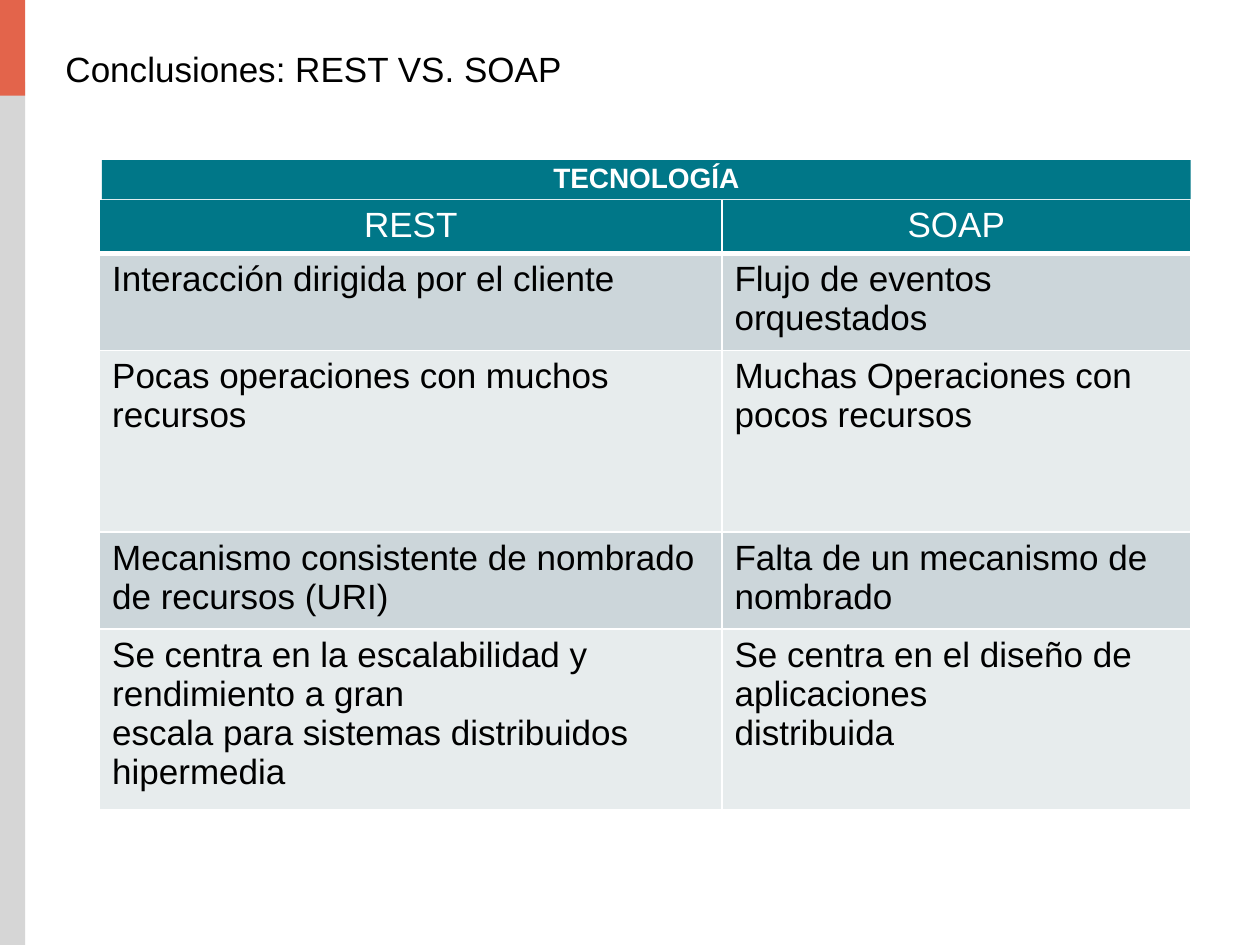
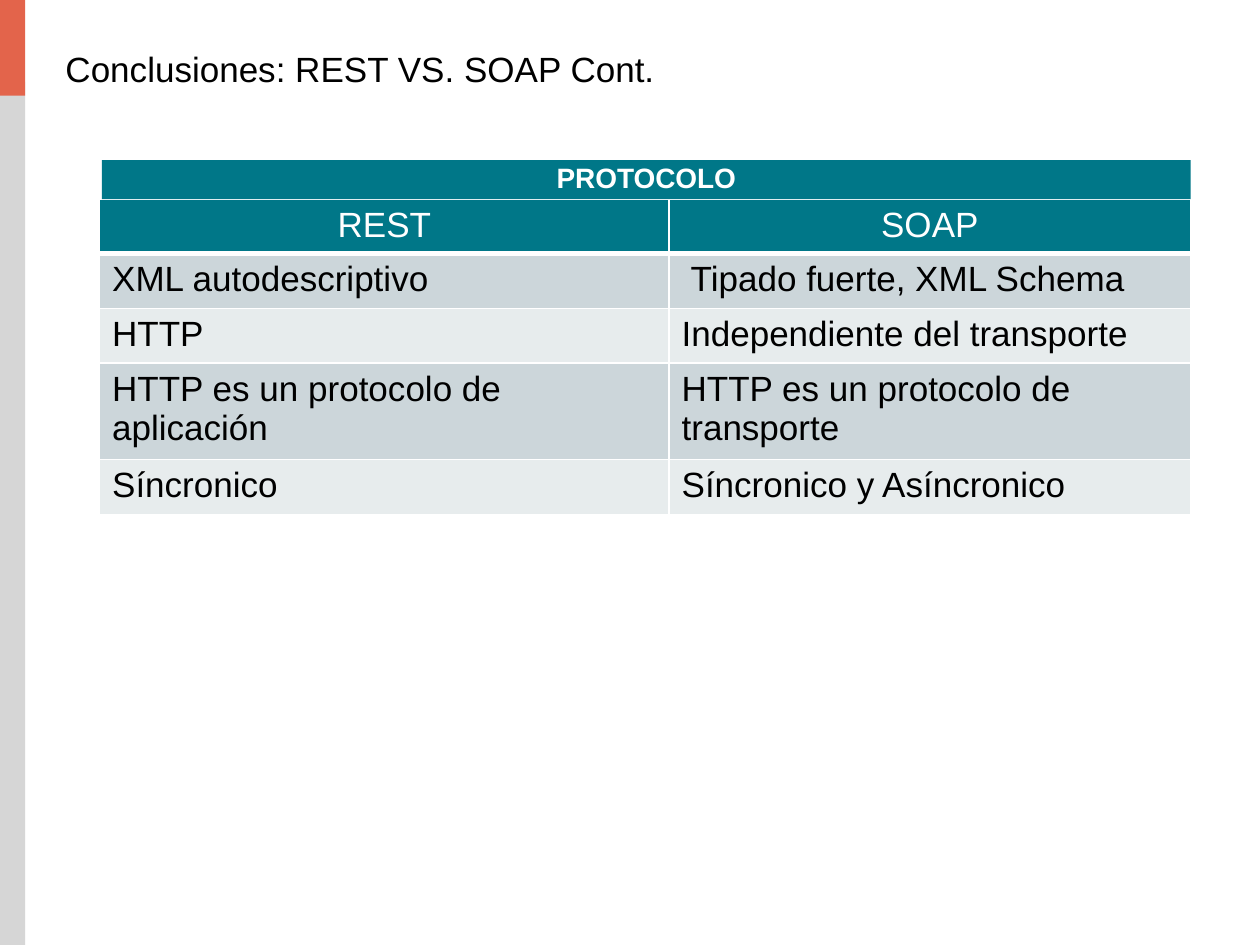
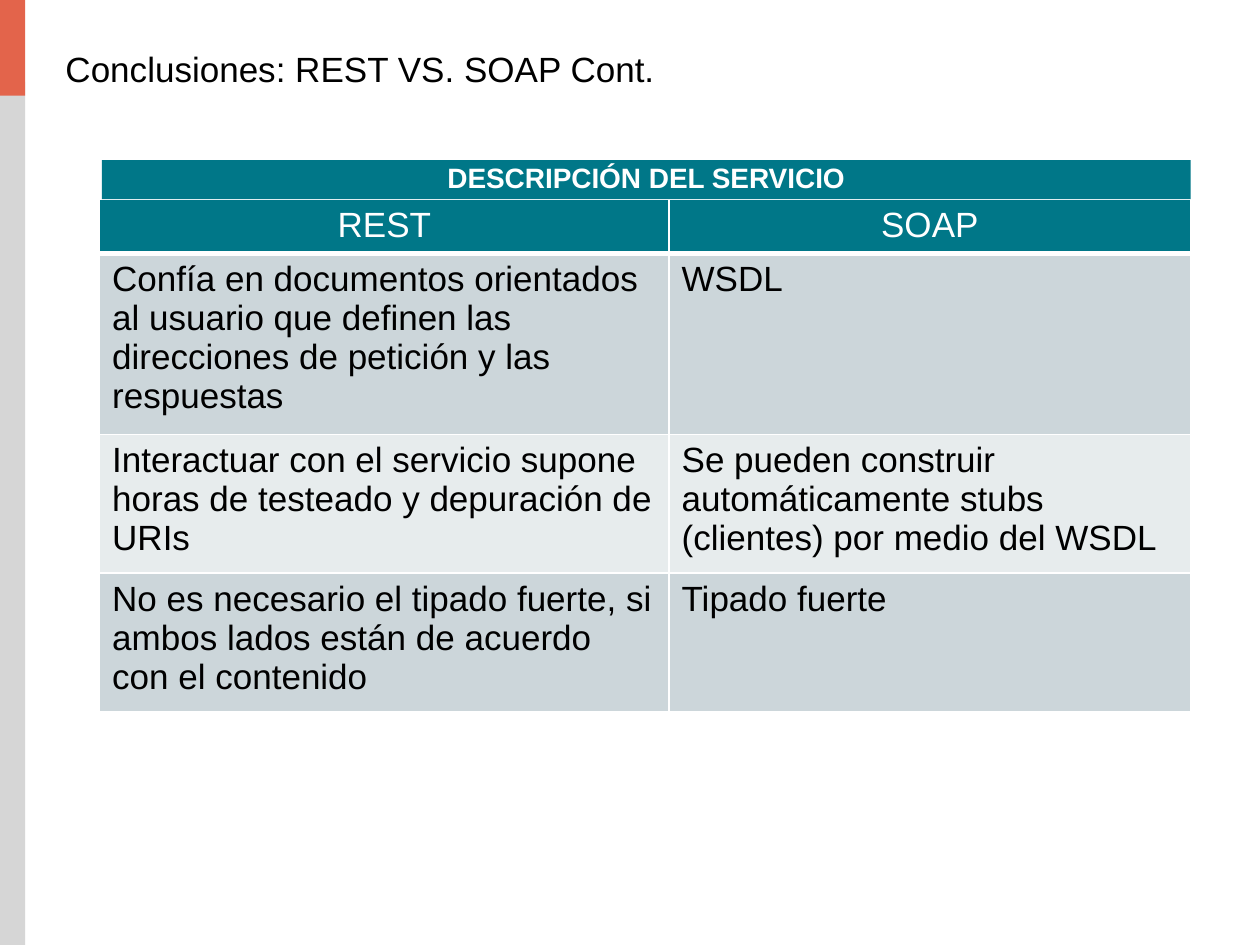
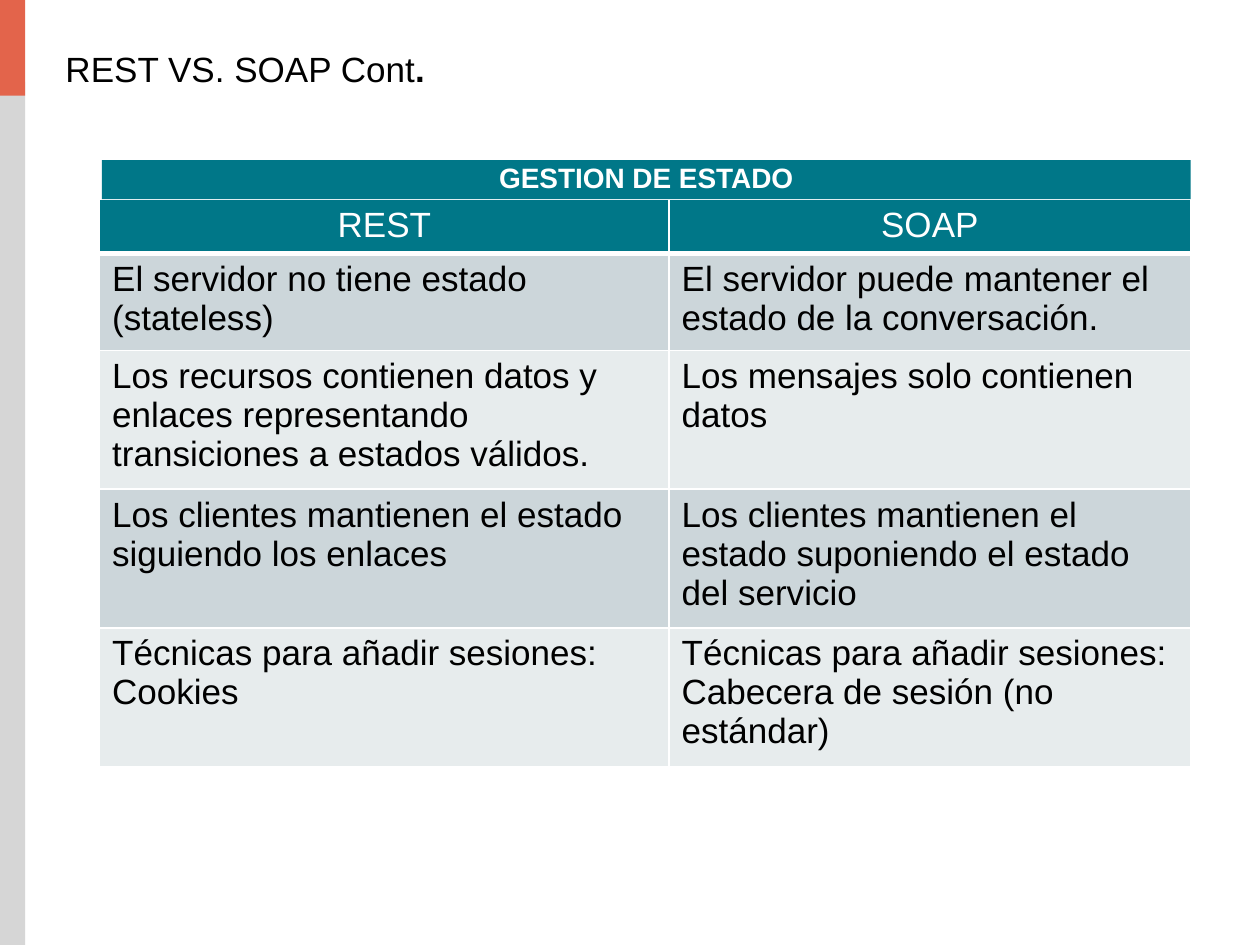
from dataclasses import dataclass

from lxml import etree
from pptx import Presentation
from pptx.dml.color import RGBColor
from pptx.enum.shapes import MSO_SHAPE
from pptx.enum.text import MSO_ANCHOR, PP_ALIGN
from pptx.oxml.ns import qn
from pptx.slide import Slide
from pptx.table import _Cell
from pptx.text.text import TextFrame, _Paragraph
from pptx.util import Inches, Pt

RECTANGLE = MSO_SHAPE.RECTANGLE
TOP, MIDDLE = MSO_ANCHOR.TOP, MSO_ANCHOR.MIDDLE
LEFT, CENTER = PP_ALIGN.LEFT, PP_ALIGN.CENTER

COLORS = {
    "teal": "007788",
    "orange": "E3644B",
    "gray": "D6D6D6",
    "row_dark": "CCD6DA",
    "row_light": "E7ECED",
    "black": "000000",
    "white": "FFFFFF",
}
FONT = "Arial"
TABLE_LEFT, TABLE_TOP, TABLE_WIDTH = 0.79, 1.58, 8.66
HEADINGS = ("REST", "SOAP")


@dataclass(frozen=True)
class Row:
    rest: str
    soap: str
    height: float


@dataclass(frozen=True)
class Comparison:
    title: str
    topic: str
    rows: tuple[Row, ...]
    rest_width: float = 4.52
    heading_height: float = 0.41
    bold_ending: str = ""


COMPARISONS = (
    Comparison(
        "Conclusiones: REST VS. SOAP",
        "TECNOLOGÍA",
        (
            Row("Interacción dirigida por el cliente", "Flujo de eventos orquestados", 0.77),
            Row("Pocas operaciones con muchos recursos",
                "Muchas Operaciones con pocos recursos", 1.44),
            Row("Mecanismo consistente de nombrado de recursos (URI)",
                "Falta de un mecanismo de nombrado", 0.77),
            Row("Se centra en la escalabilidad y rendimiento a gran\n"
                "escala para sistemas distribuidos hipermedia",
                "Se centra en el diseño de aplicaciones\ndistribuida", 1.43),
        ),
        rest_width=4.94,
        heading_height=0.42,
    ),
    Comparison(
        "Conclusiones: REST VS. SOAP Cont.",
        "PROTOCOLO",
        (
            Row("XML autodescriptivo", " Tipado fuerte, XML Schema", 0.41),
            Row("HTTP", "Independiente del transporte", 0.41),
            Row("HTTP es un protocolo de aplicación",
                "HTTP es un protocolo de transporte", 0.72),
            Row("Síncronico", "Síncronico y Asíncronico", 0.41),
        ),
    ),
    Comparison(
        "Conclusiones: REST VS. SOAP Cont.",
        "DESCRIPCIÓN DEL SERVICIO",
        (
            Row("Confía en documentos orientados al usuario que definen las "
                "direcciones de petición y las respuestas", "WSDL", 1.34),
            Row("Interactuar con el servicio supone horas de testeado y depuración de URIs",
                "Se pueden construir automáticamente stubs (clientes) por medio del WSDL", 1.03),
            Row("No es necesario el tipado fuerte, si ambos lados están de acuerdo "
                "con el contenido", "Tipado fuerte", 1.03),
        ),
    ),
    Comparison(
        "REST VS. SOAP Cont",
        "GESTION DE ESTADO",
        (
            Row("El servidor no tiene estado (stateless)",
                "El servidor puede mantener el estado de la conversación.", 0.72),
            Row("Los recursos contienen datos y enlaces representando transiciones "
                "a estados válidos.", "Los mensajes solo contienen datos", 1.03),
            Row("Los clientes mantienen el estado siguiendo los enlaces",
                "Los clientes mantienen el estado suponiendo el estado del servicio", 1.03),
            Row("Técnicas para añadir sesiones: Cookies",
                "Técnicas para añadir sesiones: Cabecera de sesión (no estándar)", 1.03),
        ),
        bold_ending=".",
    ),
)


def rgb(color: str) -> RGBColor:
    return RGBColor.from_string(COLORS[color])


def style_paragraph(paragraph: _Paragraph, color: str, size: int = 20,
                    bold: bool = False, align: PP_ALIGN = LEFT) -> None:
    paragraph.alignment = align
    paragraph.font.name = FONT
    paragraph.font.size = Pt(size)
    paragraph.font.bold = bold
    paragraph.font.color.rgb = rgb(color)


def prepare_frame(frame: TextFrame, anchor: MSO_ANCHOR) -> None:
    frame.word_wrap = True
    frame.vertical_anchor = anchor
    frame.margin_left = frame.margin_right = frame.margin_top = frame.margin_bottom = 0


def add_block(slide: Slide, left: float, top: float, width: float, height: float,
              color: str) -> TextFrame:
    block = slide.shapes.add_shape(
        RECTANGLE, Inches(left), Inches(top), Inches(width), Inches(height))
    block.shadow.inherit = False
    block.fill.solid()
    block.fill.fore_color.rgb = rgb(color)
    block.line.fill.background()
    return block.text_frame


def add_title(slide: Slide, title: str, bold_ending: str) -> None:
    frame = slide.shapes.add_textbox(
        Inches(0.52), Inches(0.38), Inches(9.24), Inches(0.32)).text_frame
    prepare_frame(frame, MIDDLE)
    paragraph = frame.paragraphs[0]
    paragraph.text = title
    style_paragraph(paragraph, "black")
    if bold_ending:
        ending = paragraph.add_run()
        ending.text = bold_ending
        ending.font.bold = True


def add_topic(slide: Slide, topic: str) -> None:
    frame = add_block(slide, 0.81, 1.27, 8.64, 0.31, "teal")
    prepare_frame(frame, TOP)
    frame.text = topic
    style_paragraph(frame.paragraphs[0], "white", 16, True, CENTER)


def set_borders(cell: _Cell, top: int, bottom: int) -> None:
    properties = cell._tc.get_or_add_tcPr()
    for side, points in (("L", 1), ("R", 1), ("T", top), ("B", bottom)):
        line = etree.SubElement(properties, qn(f"a:ln{side}"), w=str(Pt(points)))
        fill = etree.SubElement(line, qn("a:solidFill"))
        etree.SubElement(fill, qn("a:srgbClr"), val=COLORS["white"])


def add_comparison_table(slide: Slide, comparison: Comparison) -> None:
    rows = (Row(*HEADINGS, comparison.heading_height), *comparison.rows)
    table = slide.shapes.add_table(
        len(rows), 2, Inches(TABLE_LEFT), Inches(TABLE_TOP), Inches(TABLE_WIDTH),
        Inches(sum(row.height for row in rows))).table
    table.first_row = table.horz_banding = False
    table.columns[0].width = Inches(comparison.rest_width)
    table.columns[1].width = Inches(TABLE_WIDTH - comparison.rest_width)
    for index, row in enumerate(rows):
        heading = index == 0
        table.rows[index].height = Inches(row.height)
        fill = "teal" if heading else "row_dark" if index % 2 else "row_light"
        for column, text in enumerate((row.rest, row.soap)):
            cell = table.cell(index, column)
            set_borders(cell, 3 if index == 1 else 1, 3 if heading else 1)
            cell.fill.solid()
            cell.fill.fore_color.rgb = rgb(fill)
            cell.text = text
            for paragraph in cell.text_frame.paragraphs:
                style_paragraph(paragraph, "white" if heading else "black",
                                align=CENTER if heading else LEFT)


def build_slide(slide: Slide, comparison: Comparison) -> None:
    add_block(slide, 0, 0.65, 0.2, 6.85, "gray")
    add_block(slide, 0, 0, 0.2, 0.76, "orange")
    add_title(slide, comparison.title, comparison.bold_ending)
    add_comparison_table(slide, comparison)
    add_topic(slide, comparison.topic)


presentation = Presentation()
presentation.slide_width = Inches(10)
presentation.slide_height = Inches(7.5)
blank_layout = presentation.slide_layouts[6]
for comparison in COMPARISONS:
    build_slide(presentation.slides.add_slide(blank_layout), comparison)
presentation.save("out.pptx")
